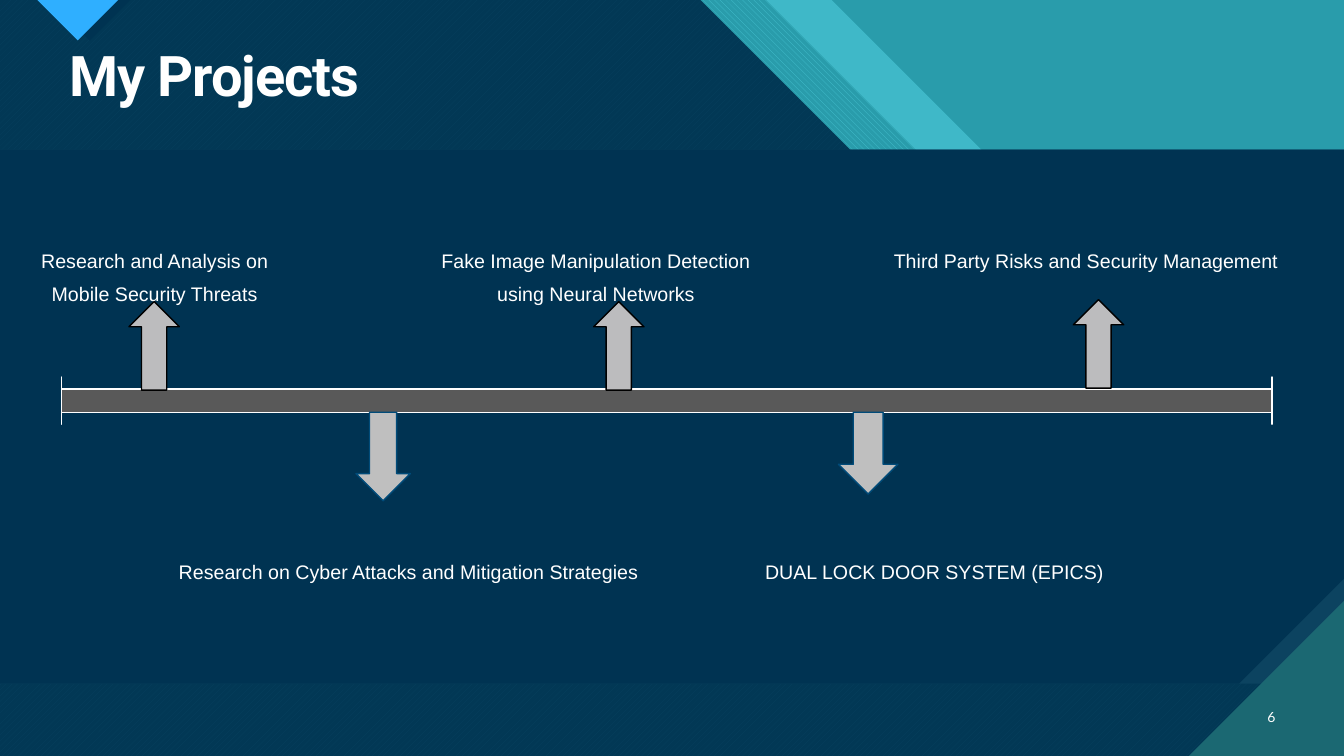
from dataclasses import dataclass

from lxml.etree import SubElement
from pptx import Presentation
from pptx.dml.color import RGBColor
from pptx.enum.dml import MSO_PATTERN_TYPE as Pattern
from pptx.enum.shapes import MSO_SHAPE as Preset
from pptx.enum.text import MSO_ANCHOR as Anchor, PP_ALIGN as Align
from pptx.oxml.ns import qn
from pptx.util import Cm, Pt

WIDTH, HEIGHT = 33.87, 19.05


@dataclass(frozen=True)
class Theme:
    navy: str = "003352"
    navy_light: str = "0C4360"
    teal: str = "299CAB"
    teal_light: str = "47C3D3"
    teal_dark: str = "1B6872"
    blue: str = "2FAFFF"
    white: str = "FFFFFF"
    black: str = "000000"
    bar: str = "595959"
    up_arrow: str = "BCBCBE"
    down_arrow: str = "BFBFBF"
    down_line: str = "004B79"
    title_font: str = "Roboto"
    body_font: str = "Arial"
    number_font: str = "Lato"
    title_size: int = 40
    body_size: int = 14
    number_size: int = 10


class SlideBuilder:
    def __init__(self, slide, theme):
        self.slide = slide
        self.theme = theme

    def background(self, color):
        fill = self.slide.background.fill
        fill.solid()
        fill.fore_color.rgb = RGBColor.from_string(color)

    def paint(self, shape, color, line=None, alpha=None, pattern=None, back=None):
        shape.shadow.inherit = False
        if pattern is None:
            shape.fill.solid()
        else:
            shape.fill.patterned()
            shape.fill.pattern = pattern
            shape.fill.back_color.rgb = RGBColor.from_string(back)
        shape.fill.fore_color.rgb = RGBColor.from_string(color)
        if alpha is not None:
            rgb = shape.element.spPr.find(qn("a:solidFill"))[0]
            SubElement(rgb, qn("a:alpha")).set("val", str(alpha * 1000))
        if line is None:
            shape.line.fill.background()
        else:
            shape.line.color.rgb = RGBColor.from_string(line)
            shape.line.width = Pt(1)

    def polygon(self, points, color, **style):
        corners = [(Cm(x), Cm(y)) for x, y in points]
        builder = self.slide.shapes.build_freeform(*corners[0])
        builder.add_line_segments(corners[1:], close=True)
        self.paint(builder.convert_to_shape(), color, **style)

    def preset(self, kind, left, top, width, height, color, **style):
        shape = self.slide.shapes.add_shape(
            kind, Cm(left), Cm(top), Cm(width), Cm(height))
        self.paint(shape, color, **style)

    def text(self, text, left, top, width, height, font, size, inset=0.25,
             align=Align.LEFT, anchor=Anchor.TOP, bold=False, gap=0,
             leading=1.0, tracking=None):
        box = self.slide.shapes.add_textbox(Cm(left), Cm(top), Cm(width), Cm(height))
        frame = box.text_frame
        frame.word_wrap = True
        frame.vertical_anchor = anchor
        frame.margin_left = frame.margin_right = Cm(inset)
        frame.margin_top = frame.margin_bottom = Cm(inset / 2)
        frame.text = text
        for index, paragraph in enumerate(frame.paragraphs):
            paragraph.alignment = align
            paragraph.line_spacing = leading
            if index:
                paragraph.space_before = Pt(gap)
            for run in paragraph.runs:
                run.font.name = font
                run.font.size = Pt(size)
                run.font.bold = bold
                run.font.color.rgb = RGBColor.from_string(self.theme.white)
                if tracking is not None:
                    run.font._element.set("spc", str(tracking))


def draw_backdrop(builder):
    theme = builder.theme

    def band(edge, color, **style):
        slope = 7.54
        builder.polygon(
            [(0, 0), (edge, 0), (edge + slope, slope), (WIDTH, 13),
             (WIDTH, HEIGHT), (0, HEIGHT)], color, **style)

    builder.background(theme.teal)
    band(20.96, theme.teal_light, alpha=74)
    band(19.3, theme.teal_light, pattern=Pattern.WIDE_DOWNWARD_DIAGONAL, back=theme.teal)
    band(17.65, theme.teal_light, pattern=Pattern.WIDE_UPWARD_DIAGONAL,
         back=theme.teal_dark)
    band(17.65, theme.navy, alpha=90)

    for left, color in ((1.24, theme.navy), (0.94, theme.blue)):
        builder.polygon([(left, 0), (left + 2.04, 0), (left + 1.02, 1.02)], color)

    top, bottom, snip = 3.77, 17.23, 2.65
    builder.preset(Preset.RECTANGLE, 0, top, WIDTH, bottom - top, theme.navy_light)
    builder.polygon(
        [(0, top), (WIDTH, top), (WIDTH, bottom - snip), (WIDTH - snip, bottom),
         (0, bottom)], theme.navy)
    corner = 3.91
    builder.polygon(
        [(WIDTH - corner, HEIGHT), (WIDTH, HEIGHT), (WIDTH, HEIGHT - corner)],
        theme.teal_dark)


def draw_timeline(builder):
    theme = builder.theme
    left, right = 1.55, 32.06
    cap_top, top, bottom, cap_bottom = 9.5, 9.8, 10.39, 10.69
    builder.polygon(
        [(left, cap_top), (left, top), (right, top), (right, cap_top),
         (right, cap_bottom), (right, bottom), (left, bottom), (left, cap_bottom)],
        theme.bar, line=theme.white)

    for arrow_left, arrow_top in ((3.25, 7.6), (14.96, 7.6), (27.05, 7.55)):
        builder.preset(Preset.UP_ARROW, arrow_left, arrow_top, 1.27, 2.23,
                       theme.up_arrow, line=theme.black)
    for arrow_left, width, height in ((8.97, 1.37, 2.23), (21.13, 1.5, 2.06)):
        builder.preset(Preset.DOWN_ARROW, arrow_left, bottom, width, height,
                       theme.down_arrow, line=theme.down_line)

    upper, lower = 6.27, 14.11
    projects = (
        ("Research and Analysis on\nMobile Security Threats", 3.9, upper, 7),
        ("Fake Image Manipulation Detection\nusing Neural Networks", 15.02, upper, 10),
        ("Third Party Risks and Security Management", 27.37, upper, 12),
        ("Research on Cyber Attacks and Mitigation Strategies", 10.3, lower, 13),
        ("DUAL LOCK DOOR SYSTEM (EPICS)", 23.55, lower, 10),
    )
    for name, center, label_top, width in projects:
        builder.text(name, center - width / 2, label_top, width, 1.4,
                     theme.body_font, theme.body_size, inset=0,
                     align=Align.CENTER, gap=7)


def main():
    presentation = Presentation()
    presentation.slide_width = Cm(WIDTH)
    presentation.slide_height = Cm(HEIGHT)
    slide = presentation.slides.add_slide(presentation.slide_layouts[6])
    theme = Theme()
    builder = SlideBuilder(slide, theme)
    draw_backdrop(builder)
    builder.text("My Projects", 1.5, 1.09, 31.14, 1.8, theme.title_font,
                 theme.title_size, bold=True, leading=0.9, tracking=-70)
    draw_timeline(builder)
    builder.text("6", 31.27, 17.55, 1.12, 1.02, theme.number_font,
                 theme.number_size, align=Align.RIGHT, anchor=Anchor.MIDDLE)
    presentation.save("out.pptx")


if __name__ == "__main__":
    main()
